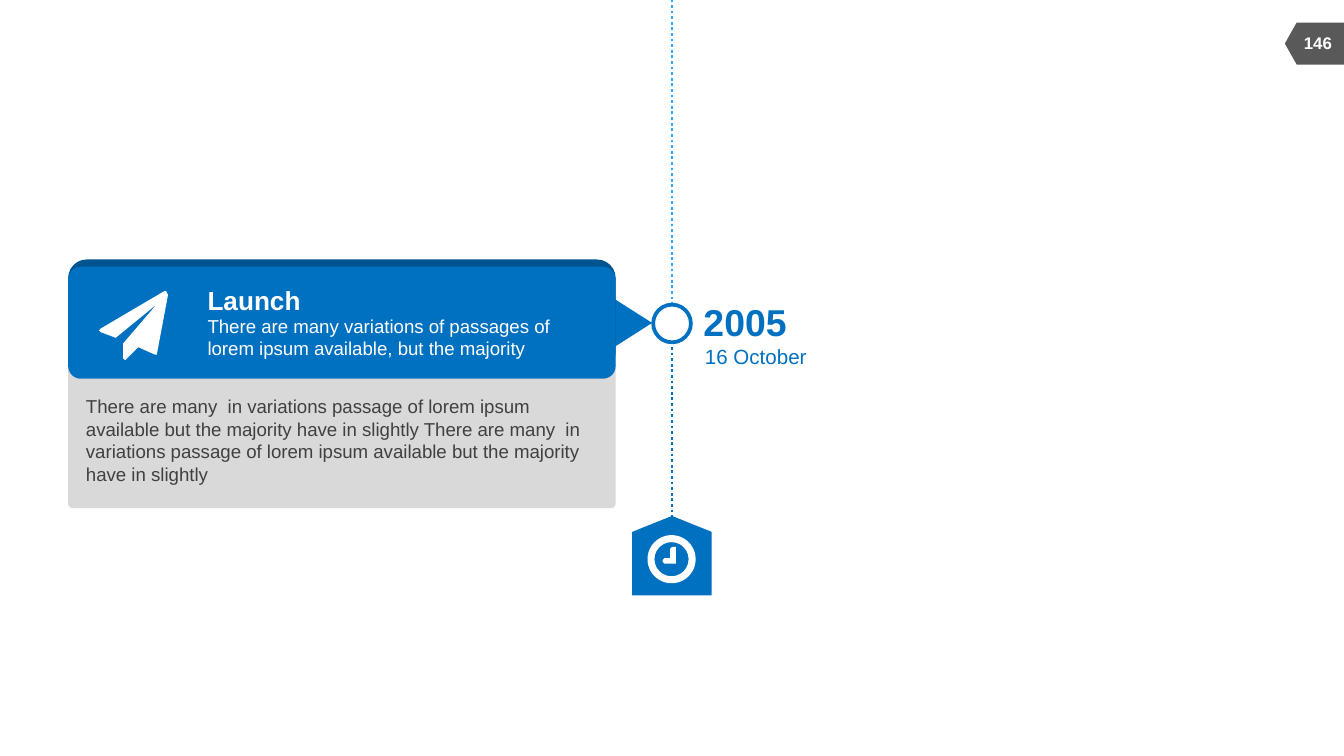
"""Build a timeline slide with a launch card and a dated milestone."""

from dataclasses import dataclass

from lxml import etree
from pptx import Presentation
from pptx.dml.color import RGBColor
from pptx.enum.dml import MSO_LINE
from pptx.enum.shapes import MSO_CONNECTOR, MSO_SHAPE
from pptx.enum.text import MSO_ANCHOR, PP_ALIGN
from pptx.oxml.ns import qn
from pptx.shapes.autoshape import Shape
from pptx.shapes.shapetree import SlideShapes
from pptx.util import Pt

PENTAGON = MSO_SHAPE.FLOWCHART_OFFPAGE_CONNECTOR
ROUNDED = MSO_SHAPE.ROUNDED_RECTANGLE
TRIANGLE = MSO_SHAPE.ISOSCELES_TRIANGLE
OVAL = MSO_SHAPE.OVAL
DONUT = MSO_SHAPE.DONUT
STRAIGHT = MSO_CONNECTOR.STRAIGHT
DOTTED = MSO_LINE.ROUND_DOT
TOP, MIDDLE = MSO_ANCHOR.TOP, MSO_ANCHOR.MIDDLE
LEFT, CENTER = PP_ALIGN.LEFT, PP_ALIGN.CENTER

WHITE = RGBColor(0xFF, 0xFF, 0xFF)
BLUE = RGBColor(0x00, 0x70, 0xC0)
DARK_BLUE = RGBColor(0x00, 0x54, 0x90)
LIGHT_BLUE = RGBColor(0x2F, 0xA6, 0xFF)
PALE_GRAY = RGBColor(0xD9, 0xD9, 0xD9)
BADGE_GRAY = RGBColor(0x59, 0x59, 0x59)
TEXT_GRAY = RGBColor(0x40, 0x40, 0x40)

FONT = "Arial"
AXIS_X = 360
CARD_LEFT, CARD_WIDTH, HEADER_HEIGHT = 36.5, 293.3, 60
HEADER_TEXT_LEFT = 111.2

Box = tuple[float, float, float, float]
Point = tuple[float, float]


@dataclass(frozen=True)
class Block:
    kind: MSO_SHAPE
    box: Box
    fill: RGBColor
    rotation: float = 0
    adjustment: float | None = None


@dataclass(frozen=True)
class Label:
    text: str
    box: Box
    size: float
    color: RGBColor
    bold: bool = False
    wrap: bool = False
    anchor: MSO_ANCHOR = MIDDLE
    align: PP_ALIGN = LEFT


@dataclass(frozen=True)
class AxisLine:
    start_y: float
    end_y: float
    color: RGBColor


BADGE = Block(PENTAGON, (692.9, 7.5, 22.5, 31.7), BADGE_GRAY, 90)
CARD_BODY = Block(ROUNDED, (CARD_LEFT, 182.9, CARD_WIDTH, 89.3), PALE_GRAY, adjustment=0.025)
CARD_HEADER = (
    Block(TRIANGLE, (316.6, 158.6, 36.7, 28.8), BLUE, 90),
    Block(ROUNDED, (CARD_LEFT, 139, CARD_WIDTH, HEADER_HEIGHT), DARK_BLUE),
    Block(ROUNDED, (CARD_LEFT, 142.9, CARD_WIDTH, HEADER_HEIGHT), BLUE, adjustment=0.113),
)
MILESTONE = Block(OVAL, (AXIS_X - 10.1, 163.2, 20.2, 20.2), WHITE)
CLOCK = (
    Block(PENTAGON, (AXIS_X - 21.3, 276.4, 42.6, 42.6), BLUE, 180),
    Block(DONUT, (346.9, 286.7, 25.8, 25.8), WHITE, adjustment=0.145),
)
UPPER_AXIS = AxisLine(163.4, 0, LIGHT_BLUE)
LOWER_AXIS = AxisLine(182.9, 279.4, BLUE)

CLOCK_HANDS: list[Point] = [
    (362.1, 293.6), (362.1, 301), (361.5, 301.7), (355.8, 301.7), (355.2, 301),
    (355.2, 299.9), (355.8, 299.3), (359.4, 299.3), (359.4, 293.6), (360, 293),
    (361.5, 293),
]
PAPER_PLANE: list[Point] = [
    (89.8, 157.6), (84.4, 189.5), (83.3, 190.2), (74.2, 186.5), (68.5, 192.5),
    (67.4, 192.8), (66.3, 191.6), (66.3, 184.4), (84.2, 162.7), (61.9, 181.4),
    (54, 178.4), (53.4, 177.2), (54, 175.8), (87.8, 156.4), (89.2, 156.4),
]

LABELS = (
    Label("146", (690.9, 12.4, 30.2, 21.6), 9, WHITE, bold=True, align=CENTER),
    Label("Launch", (HEADER_TEXT_LEFT, 151.9, 64, 17.3), 14, WHITE, bold=True),
    Label(
        "There are many variations of passages of lorem ipsum available, but the majority",
        (HEADER_TEXT_LEFT, 168.5, 198.7, 24.5), 10, WHITE, wrap=True, anchor=TOP,
    ),
    Label("2005", (376.9, 160.3, 50, 24.5), 20, BLUE, bold=True),
    Label("16 October", (377.6, 184, 60, 13.7), 11, BLUE),
    Label(
        "There are many  in variations passage of lorem ipsum available but the majority "
        "have in slightly There are many  in variations passage of lorem ipsum available "
        "but the majority have in slightly",
        (46.1, 211.7, 271.4, 48.2), 10, TEXT_GRAY, wrap=True, anchor=TOP,
    ),
)


def paint(shape: Shape, fill: RGBColor) -> None:
    """Give a shape a flat fill without outline or shadow."""
    shape.shadow.inherit = False
    shape.fill.solid()
    shape.fill.fore_color.rgb = fill
    shape.line.fill.background()


def draw_block(shapes: SlideShapes, block: Block) -> Shape:
    """Draw one preset shape."""
    shape = shapes.add_shape(block.kind, *map(Pt, block.box))
    shape.rotation = block.rotation
    if block.adjustment is not None:
        shape.adjustments[0] = block.adjustment
    paint(shape, block.fill)
    return shape


def draw_outline(shapes: SlideShapes, points: list[Point], fill: RGBColor) -> None:
    """Draw a closed polygon through the points."""
    builder = shapes.build_freeform(*points[0], scale=float(Pt(1)))
    builder.add_line_segments(points[1:], close=True)
    paint(builder.convert_to_shape(), fill)


def draw_axis(shapes: SlideShapes, axis: AxisLine) -> None:
    """Draw a dotted vertical stretch of the timeline."""
    connector = shapes.add_connector(
        STRAIGHT, Pt(AXIS_X), Pt(axis.start_y), Pt(AXIS_X), Pt(axis.end_y)
    )
    connector.line.color.rgb = axis.color
    connector.line.width = Pt(1.5)
    connector.line.dash_style = DOTTED
    etree.SubElement(connector._element.spPr, qn("a:effectLst"))


def draw_label(shapes: SlideShapes, label: Label) -> None:
    """Draw a text box holding one paragraph."""
    frame = shapes.add_textbox(*map(Pt, label.box)).text_frame
    frame.margin_left = frame.margin_right = frame.margin_top = frame.margin_bottom = Pt(0)
    frame.word_wrap = label.wrap
    frame.vertical_anchor = label.anchor
    paragraph = frame.paragraphs[0]
    paragraph.text = label.text
    paragraph.alignment = label.align
    paragraph.font.name = FONT
    paragraph.font.size = Pt(label.size)
    paragraph.font.bold = label.bold
    paragraph.font.color.rgb = label.color


def main() -> None:
    """Assemble the slide and save it."""
    deck = Presentation()
    deck.slide_width, deck.slide_height = Pt(720), Pt(405)
    shapes = deck.slides.add_slide(deck.slide_layouts[6]).shapes

    draw_block(shapes, BADGE)
    draw_axis(shapes, LOWER_AXIS)
    draw_block(shapes, CARD_BODY)
    draw_axis(shapes, UPPER_AXIS)
    for block in CARD_HEADER:
        draw_block(shapes, block)
    milestone = draw_block(shapes, MILESTONE)
    milestone.line.color.rgb = BLUE
    milestone.line.width = Pt(2)
    for block in CLOCK:
        draw_block(shapes, block)
    draw_outline(shapes, CLOCK_HANDS, WHITE)
    draw_outline(shapes, PAPER_PLANE, WHITE)
    for label in LABELS:
        draw_label(shapes, label)
    deck.save("out.pptx")


if __name__ == "__main__":
    main()
